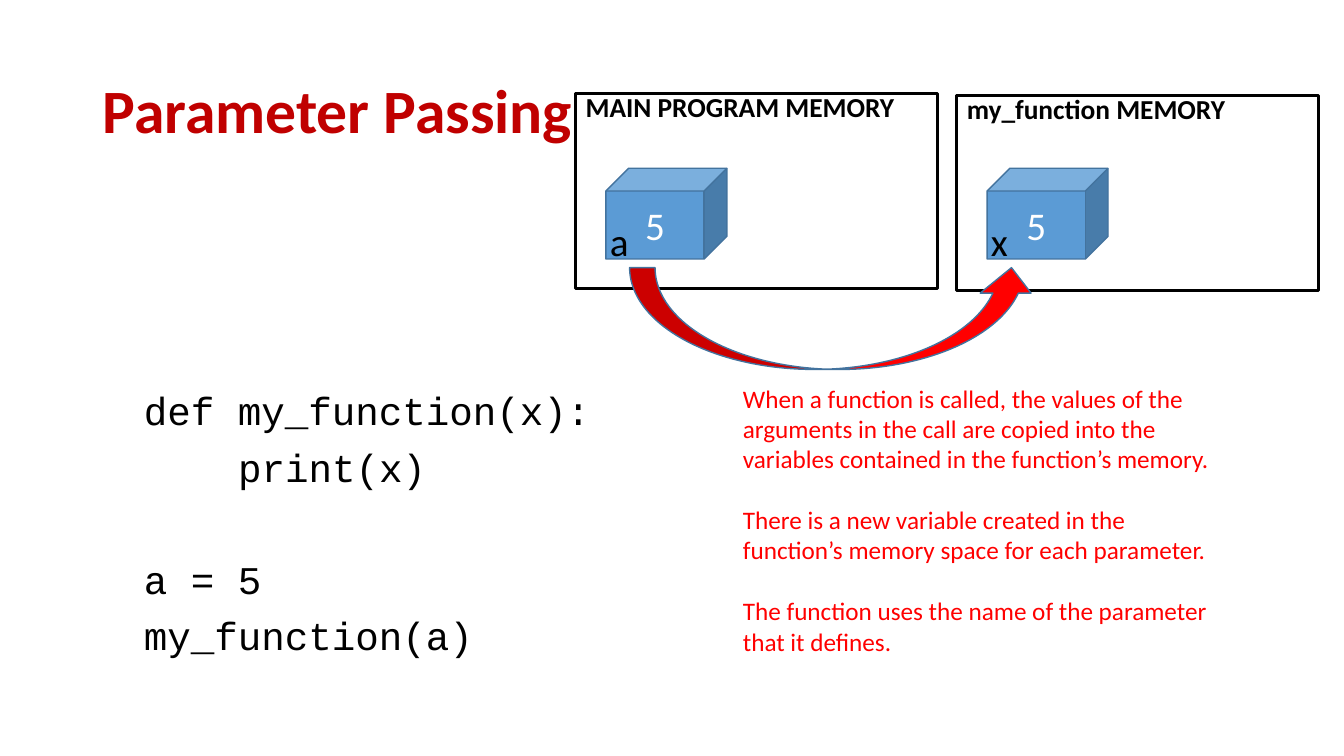
from pptx import Presentation
from pptx.dml.color import RGBColor
from pptx.enum.shapes import MSO_SHAPE as Preset
from pptx.enum.text import MSO_ANCHOR as Anchor, PP_ALIGN as Align
from pptx.util import Inches, Pt

BLACK = RGBColor(0x00, 0x00, 0x00)
WHITE = RGBColor(0xFF, 0xFF, 0xFF)
DARK_RED = RGBColor(0xC0, 0x00, 0x00)
RED = RGBColor(0xFF, 0x00, 0x00)
BLUE = RGBColor(0x5B, 0x9B, 0xD5)
EDGE_BLUE = RGBColor(0x43, 0x73, 0x9E)

CELL = 0.1  # grid cell in inches: 133.3 columns by 75 rows
CODE_SIZE = 28
CODE_INDENT = 4 * 0.6 * CODE_SIZE  # four monospaced characters, in points


class SlideBuilder:
    """Holds the text style and the slide; boxes are (column, row, columns, rows)."""

    font_style = {"name": "Calibri", "size": Pt(28), "bold": False}

    def __init__(self, presentation):
        self.slide = presentation.slides.add_slide(presentation.slide_layouts[6])

    def place(self, box):
        return [Inches(cells * CELL) for cells in box]

    def fill_text(self, shape, lines, color, font=None, layout=None, anchor=Anchor.TOP, wrap=True):
        frame = shape.text_frame
        frame.word_wrap = wrap
        frame.vertical_anchor = anchor
        for index, (text, space_before, indent) in enumerate(lines):
            paragraph = frame.paragraphs[0] if index == 0 else frame.add_paragraph()
            paragraph.text = text
            formats = {"alignment": Align.LEFT, "space_before": Pt(space_before), **(layout or {})}
            for name, value in formats.items():
                setattr(paragraph, name, value)
            for name, value in {**self.font_style, **(font or {})}.items():
                setattr(paragraph.font, name, value)
            paragraph.font.color.rgb = color
            if indent:
                paragraph._p.get_or_add_pPr().set("marL", str(Pt(indent)))

    def text(self, box, lines, color, **style):
        self.fill_text(self.slide.shapes.add_textbox(*self.place(box)), lines, color, **style)

    def shape(self, preset, box, fill, line, width):
        shape = self.slide.shapes.add_shape(preset, *self.place(box))
        shape.shadow.inherit = False
        if fill is None:
            shape.fill.background()
        else:
            shape.fill.solid()
            shape.fill.fore_color.rgb = fill
        shape.line.color.rgb = line
        shape.line.width = Pt(width)
        return shape

    def memory(self, column, row, title, variable, value):
        frame = self.shape(Preset.RECTANGLE, (column, row, 35.9, 19.3), None, BLACK, 2)
        self.fill_text(frame, [(title, 10, 0)], BLACK, font={"size": Pt(19.6), "bold": True},
                       layout={"line_spacing": 0.7})
        cube = self.shape(Preset.CUBE, (column + 3, 16.7, 12, 9), BLUE, EDGE_BLUE, 1)
        self.fill_text(cube, [(value, 0, 0)], WHITE, layout={"alignment": Align.CENTER},
                       anchor=Anchor.MIDDLE)
        self.text((column + 2.4, 21.1, 3.8, 5.7), [(variable, 0, 0)], BLACK, wrap=False)


presentation = Presentation()
presentation.slide_width, presentation.slide_height = Inches(13.33), Inches(7.5)
builder = SlideBuilder(presentation)

# Title
builder.text((9.2, 4, 115, 14.5), [("Parameter Passing", 0, 0)], DARK_RED,
             font={"size": Pt(44), "bold": True}, layout={"line_spacing": 0.9},
             anchor=Anchor.MIDDLE)

# Code, with a wide gap between the definition and the call
code = [
    ("def my_function(x):", 10, 0),
    ("print(x)", 10, CODE_INDENT),
    ("a = 5", 50, 0),
    ("my_function(a)", 10, 0),
]
builder.text((13.3, 38.4, 117.4, 33.4), code, BLACK,
             font={"name": "Courier New", "size": Pt(CODE_SIZE)}, layout={"line_spacing": 0.9})

# Explanation
explanation = [
    ("When a function is called, the values of the arguments in the call are copied "
     "into the variables contained in the function’s memory.", 0, 0),
    ("There is a new variable created in the function’s memory space for each parameter.", 22, 0),
    ("The function uses the name of the parameter that it defines.", 22, 0),
]
builder.text((72.7, 37.5, 49.6, 28.3), explanation, RED, font={"size": Pt(18)})

# Memory of the program and of the function
for column, row, title, variable in (
    (57.1, 9.3, "MAIN PROGRAM MEMORY", "a"),
    (94.9, 9.5, "my_function MEMORY", "x"),
):
    builder.memory(column, row, title, variable, "5")

# Arrow that copies the value from a to x
copy_arrow = builder.shape(Preset.CURVED_RIGHT_ARROW, (77.6, 11.4, 10.1, 40.4), RED, EDGE_BLUE, 1)
copy_arrow.rotation = 270

presentation.save("out.pptx")
